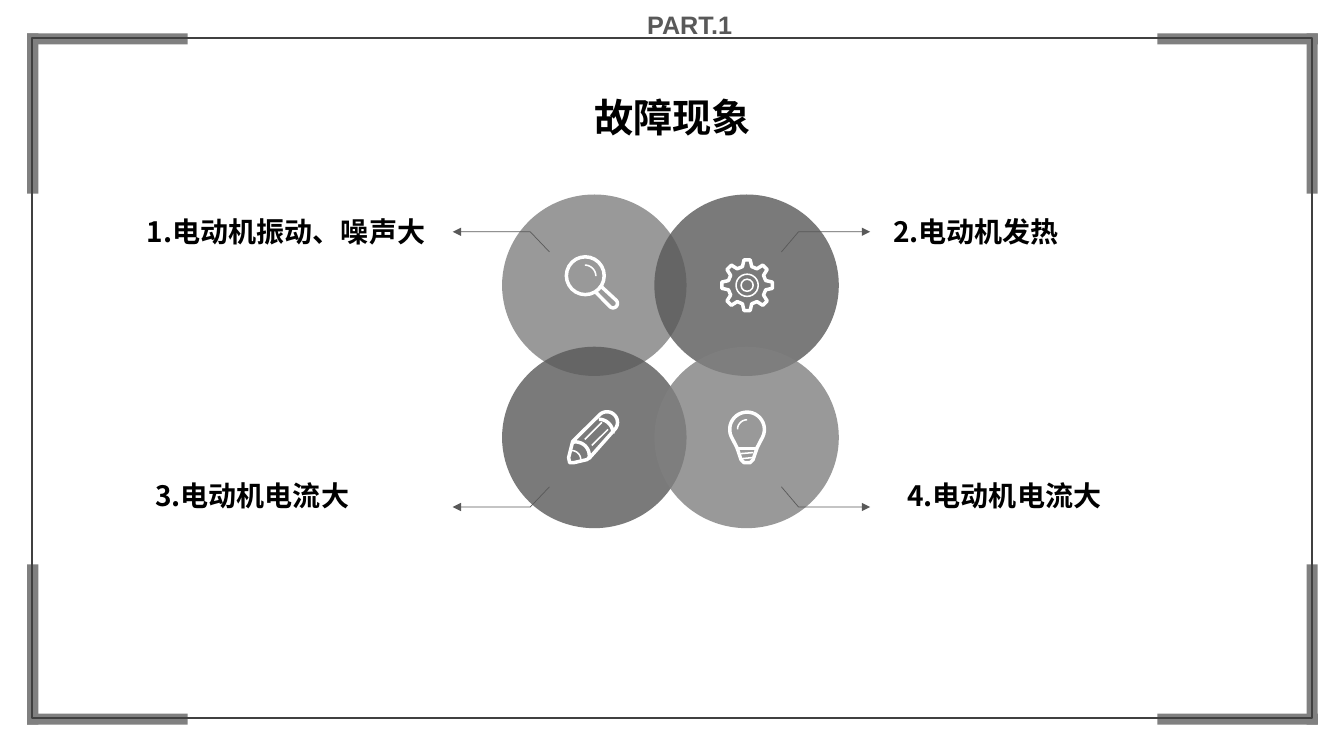
import math
from dataclasses import dataclass

from pptx import Presentation, util as u
from pptx.dml.color import RGBColor
from pptx.enum import shapes as kinds, text as txt
from pptx.oxml.ns import qn
from pptx.oxml.xmlchemy import OxmlElement

PX = 9144  # 100 px to the inch


@dataclass(frozen=True)
class Theme:
    mid: str = "808080"
    dark: str = "595959"
    border: str = "404040"
    ink: str = "000000"
    icon: str = "FFFFFF"
    latin: str = "Arial"
    han: str = "Noto Sans CJK SC"
    part_size: int = 18
    label_size: int = 20
    title_size: int = 28
    thick: float = 2.5
    thin: float = 1.1
    callout: float = 0.5


THEME = Theme()


def px(value):
    return u.Emu(round(value * PX))


def set_line(shape, color, width):
    shape.line.color.rgb = RGBColor.from_string(color)
    shape.line.width = u.Pt(width)


def add_shape(page, kind, x, y, w, h, fill=None, alpha=None, line=None, width=1):
    shape = page.shapes.add_shape(kind, px(x), px(y), px(w), px(h))
    shape.shadow.inherit = False
    if fill:
        shape.fill.solid()
        shape.fill.fore_color.rgb = RGBColor.from_string(fill)
    else:
        shape.fill.background()
    if alpha:
        tag = OxmlElement("a:alpha")
        tag.set("val", str(alpha * 1000))
        next(shape._element.spPr.iter(qn("a:srgbClr"))).append(tag)
    if line:
        set_line(shape, line, width)
    else:
        shape.line.fill.background()


def add_ring(page, cx, cy, r, width):
    add_shape(page, kinds.MSO_SHAPE.OVAL, cx - r, cy - r, 2 * r, 2 * r,
              line=THEME.icon, width=width)


def arc(cx, cy, r, start, end, steps=24):
    """Points along an arc; degrees run clockwise from the right."""
    angles = [math.radians(start + (end - start) * i / steps) for i in range(steps + 1)]
    return [(cx + r * math.cos(a), cy + r * math.sin(a)) for a in angles]


def add_path(page, points, width, color=THEME.icon, close=False):
    spots = [(px(x), px(y)) for x, y in points]
    builder = page.shapes.build_freeform(*spots[0], scale=1.0)
    builder.add_line_segments(spots[1:], close=close)
    shape = builder.convert_to_shape()
    shape.shadow.inherit = False
    shape.fill.background()
    set_line(shape, color, width)
    return shape


def add_segment(page, x1, y1, x2, y2, width):
    line = page.shapes.add_connector(kinds.MSO_CONNECTOR.STRAIGHT,
                                     px(x1), px(y1), px(x2), px(y2))
    line._element.spPr.append(OxmlElement("a:effectLst"))
    set_line(line, THEME.icon, width)


def add_callout(page, points):
    shape = add_path(page, points, THEME.callout, THEME.dark)
    tail = OxmlElement("a:tailEnd")
    tail.set("type", "triangle")
    shape.line._get_or_add_ln().append(tail)


def write(box, x, y, w, h, words, size, color, font, align=txt.PP_ALIGN.LEFT):
    box.left, box.top, box.width, box.height = px(x), px(y), px(w), px(h)
    frame = box.text_frame
    frame.word_wrap = True
    frame.auto_size = txt.MSO_AUTO_SIZE.NONE
    frame.vertical_anchor = txt.MSO_ANCHOR.TOP
    frame.text = words
    para = frame.paragraphs[0]
    para.alignment = align
    span = para.runs[0]
    span.font.name = font
    span.font.size = u.Pt(size)
    span.font.bold = True
    span.font.color.rgb = RGBColor.from_string(color)
    east = OxmlElement("a:ea")
    east.set("typeface", THEME.han)
    span.font._element.find(qn("a:latin")).addnext(east)


def add_text(page, x, y, w, h, *style):
    write(page.shapes.add_textbox(0, 0, 0, 0), x, y, w, h, *style)


def draw_frame(page):
    rect = kinds.MSO_SHAPE.RECTANGLE
    long, short = 159, 11
    for left, right in ((27, 186), (1148, 1307)):
        for top, bottom in ((33, 192), (560, 719)):
            bar_x = left if left < 600 else right - short
            bar_y = top if top < 300 else bottom - short
            add_shape(page, rect, left, bar_y, long, short, THEME.mid)
            add_shape(page, rect, bar_x, top, short, long, THEME.mid)
    add_shape(page, rect, 32, 38, 1269, 674, line=THEME.border, width=1.5)


def draw_magnifier(page):
    add_ring(page, 580.5, 273.5, 18.75, THEME.thick)
    handle = [(595, 283)] + arc(608, 301, 4.4, -45, 135) + [(590, 289)]
    add_path(page, handle, THEME.thick)
    add_path(page, arc(580, 274, 11, -90, 0), THEME.thin)


def draw_gear(page):
    cx, cy = 741, 283
    profile = ((-7, 25.3), (7, 25.3), (14, 19), (31, 19))
    teeth = []
    for tooth in range(8):
        for offset, r in profile:
            angle = math.radians(tooth * 45 + offset)
            teeth.append((cx + r * math.cos(angle), cy + r * math.sin(angle)))
    add_path(page, teeth, THEME.thick, close=True)
    add_ring(page, cx, cy, 11, THEME.thin)
    add_ring(page, cx, cy, 6, THEME.thin)


def draw_pencil(page):
    outline = [(564, 454), (568, 438)] + arc(602, 419, 10.5, -135, 45)
    outline += [(585, 454), (582, 456), (569, 459), (565, 459)]
    add_path(page, outline, THEME.thick, close=True)
    add_path(page, arc(594, 430, 14, -90, 0), THEME.thick)   # collar
    add_path(page, arc(571, 452, 13.5, -100, 15), THEME.thick)  # wood
    add_path(page, arc(567, 456, 9, -90, 0), THEME.thin)     # lead
    add_segment(page, 580, 436, 597, 419, THEME.thin)
    add_segment(page, 587, 442, 603, 426, THEME.thin)


def draw_bulb(page):
    outline = arc(741, 426, 17.2, 155, 385)
    outline += [(751, 444), (747, 456), (744, 459), (738, 459), (735, 456), (731, 444)]
    add_path(page, outline, THEME.thick, close=True)
    add_path(page, arc(741, 426, 9.5, 180, 270), THEME.thin)
    add_segment(page, 731, 445, 751, 445, THEME.thick)
    add_segment(page, 735, 450, 747, 449, THEME.thin)
    add_segment(page, 736, 455, 746, 454, THEME.thin)


def main():
    deck = Presentation()
    deck.slide_width, deck.slide_height = px(1333), px(750)
    page = deck.slides.add_slide(deck.slide_layouts[5])

    # Frame and headings
    draw_frame(page)
    add_text(page, 632, 4, 200, 40, "PART.1", THEME.part_size, THEME.dark, THEME.latin)
    write(page.shapes.title, 469, 88, 396, 60, "故障现象", THEME.title_size,
          THEME.ink, THEME.latin, txt.PP_ALIGN.CENTER)

    # Overlapping circles
    for i, color in enumerate((THEME.mid, THEME.dark, THEME.dark, THEME.mid)):
        row, column = divmod(i, 2)
        add_shape(page, kinds.MSO_SHAPE.OVAL, 498 + 151 * column, 193 + 151 * row,
                  183, 180, color, alpha=80)

    # Callout arrows
    for start, knee, end in ((775, 792, 863), (545, 526, 449)):
        for inner, outer in ((250, 230), (483, 503)):
            add_callout(page, [(start, inner), (knee, outer), (end, outer)])

    # Icons
    draw_magnifier(page)
    draw_gear(page)
    draw_pencil(page)
    draw_bulb(page)

    # Labels
    for x, y, width, words in ((136, 208, 313, "1.电动机振动、噪声大"),
                               (876, 208, 283, "2.电动机发热"),
                               (144, 470, 229, "3.电动机电流大"),
                               (890, 470, 224, "4.电动机电流大")):
        add_text(page, x, y, width, 46, words, THEME.label_size, THEME.ink, THEME.han)

    deck.save("out.pptx")


if __name__ == "__main__":
    main()
